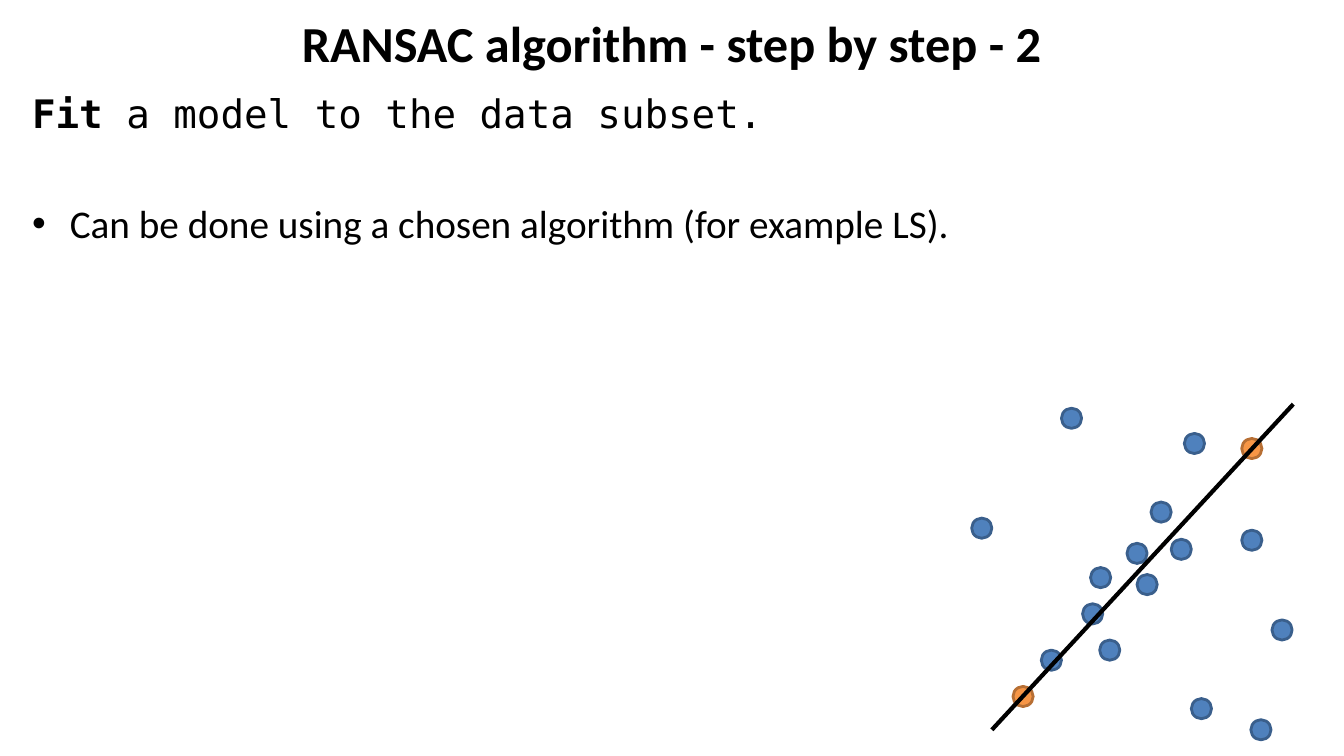
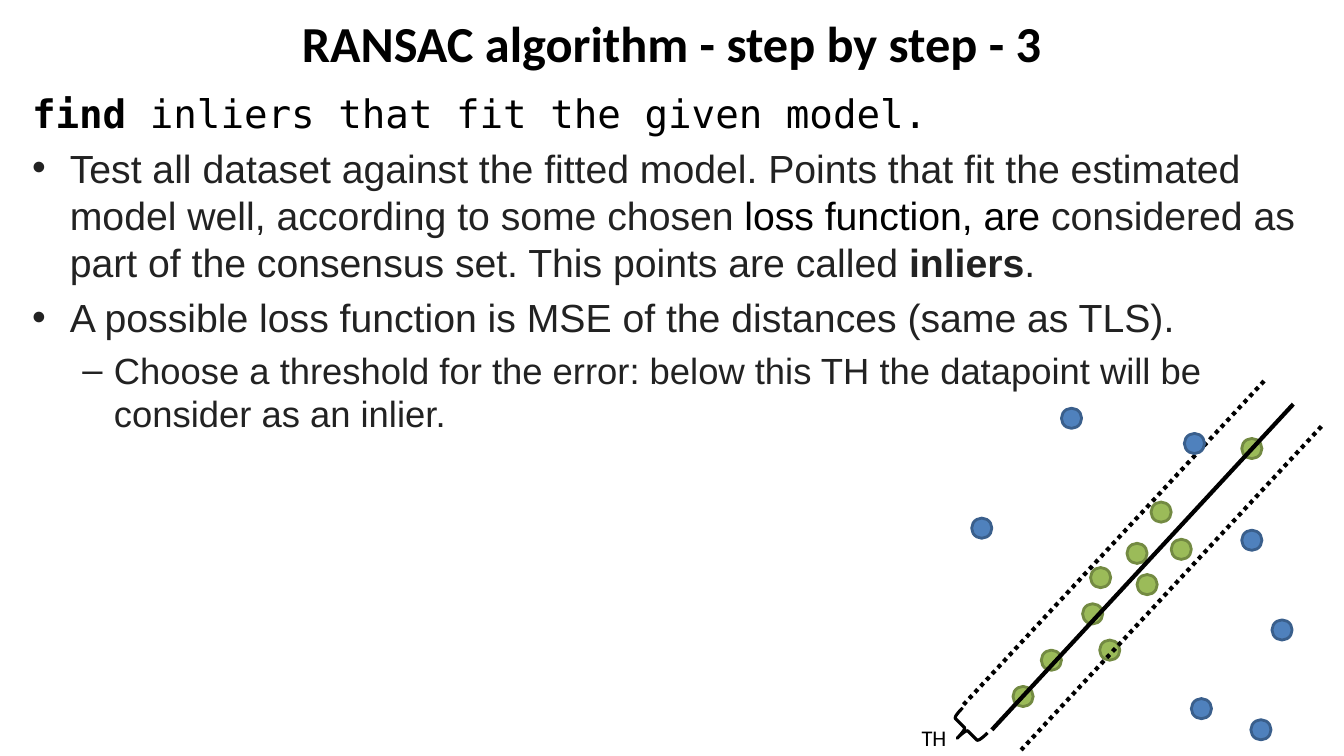
from dataclasses import dataclass
from typing import Any, NamedTuple

from lxml.etree import SubElement
from pptx import Presentation
from pptx.dml.color import RGBColor
from pptx.enum.dml import MSO_LINE
from pptx.enum.shapes import MSO_CONNECTOR, MSO_SHAPE
from pptx.enum.text import MSO_ANCHOR, PP_ALIGN
from pptx.oxml.ns import qn
from pptx.util import Pt


class Tone(NamedTuple):
    fill: str
    edge: str


@dataclass(frozen=True)
class Theme:
    black: str = "000000"
    grey: str = "222222"
    blue: Tone = Tone("4F81BD", "3A5F8C")
    orange: Tone = Tone("F79646", "B76F34")
    green: Tone = Tone("9BBB59", "738A42")
    sans: str = "Calibri"
    plain: str = "Arial"
    mono: str = "DejaVu Sans Mono"
    head: float = 36
    body: float = 28
    sub: float = 26
    label: float = 16
    dot: float = 14.4
    rule: float = 3


THEME = Theme()


class Run(NamedTuple):
    text: str
    face: str = THEME.plain
    bold: bool = False
    color: str = THEME.grey
    size: float = THEME.body


class Para(NamedTuple):
    runs: list[Run]
    mark: str = ""
    left: float = 0
    hang: float = 0
    gap: float = 5.6
    pitch: float = 1.0


class Spot(NamedTuple):
    x: float
    y: float


class Line(NamedTuple):
    start: Spot
    end: Spot
    dash: Any = None


class Page(NamedTuple):
    title: str
    paras: list[Para]
    ends: Tone
    near: Tone
    band: bool


ENDS = [Spot(723.6, 490.3), Spot(887, 313.2)]
NEAR = [
    Spot(743.8, 464.4), Spot(773.3, 431.3), Spot(812.2, 410.4),
    Spot(822.2, 358.6), Spot(836.6, 385.2), Spot(779, 405.4),
    Spot(785.5, 457.2), Spot(805, 388.1),
]
FAR = [
    Spot(887, 378.7), Spot(851, 499), Spot(758.2, 291.6), Spot(908.6, 442.8),
    Spot(694.1, 370.1), Spot(893.5, 514.1),
]
EDGE = Spot(846, 309.6)
MODEL = Line(Spot(923.8, 288.7), Spot(708.5, 521.3))
BAND = [
    Line(Spot(943.9, 304.6), Spot(729.4, 535.7), MSO_LINE.ROUND_DOT),
    Line(Spot(902.9, 272.2), Spot(688.3, 503.3), MSO_LINE.ROUND_DOT),
]

PAGES = [
    Page(
        "RANSAC algorithm - step by step - 2",
        [
            Para([
                Run("Fit ", THEME.mono, True, THEME.black),
                Run("a model to the data subset.", THEME.mono, False, THEME.black),
            ]),
            Para(
                [Run("Can be done using a chosen algorithm (for example LS).",
                     THEME.sans, False, THEME.black)],
                "•", 27, 27, 45,
            ),
        ],
        THEME.orange, THEME.blue, False,
    ),
    Page(
        "RANSAC algorithm - step by step - 3",
        [
            Para([
                Run("find ", THEME.mono, True, THEME.black),
                Run("inliers that fit the given model.", THEME.mono, False, THEME.black),
            ]),
            Para(
                [
                    Run("Test all dataset against the fitted model. Points that fit "
                        "the estimated model well, according to some chosen"),
                    Run(" loss function, are ", color=THEME.black),
                    Run("considered as part of the consensus set. "
                        "This points are called "),
                    Run("inliers", bold=True),
                    Run("."),
                ],
                "•", 27, 27,
            ),
            Para(
                [Run("A possible loss function is MSE of the distances (same as TLS).")],
                "•", 27, 27,
            ),
            Para(
                [Run("Choose a threshold for the error: below this TH the datapoint "
                     "will be consider as an inlier.", size=THEME.sub)],
                "–", 58.5, 22.5,
            ),
        ],
        THEME.green, THEME.green, True,
    ),
]


def apply(target: Any, form: dict[str, Any]) -> None:
    for name, value in form.items():
        setattr(target, name, value)


def place(shape: Any, x: float, y: float, w: float, h: float) -> None:
    apply(shape, {"left": Pt(x), "top": Pt(y), "width": Pt(w), "height": Pt(h)})


def write(para: Any, run: Run) -> None:
    part = para.add_run()
    part.text = run.text
    apply(part.font, {"name": run.face, "size": Pt(run.size), "bold": run.bold})
    part.font.color.rgb = RGBColor.from_string(run.color)


def ink(line: Any, color: str, width: float) -> None:
    line.color.rgb = RGBColor.from_string(color)
    line.width = Pt(width)


def add_mark(para: Any, item: Para) -> None:
    props = para._p.get_or_add_pPr()
    props.set("marL", str(Pt(item.left)))
    props.set("indent", str(Pt(-item.hang)))
    SubElement(props, qn("a:buFont")).set("typeface", THEME.plain)
    SubElement(props, qn("a:buChar")).set("char", item.mark)


def add_title(slide: Any, text: str) -> None:
    title = slide.shapes.title
    place(title, 15.84, 0, 928, 60)
    frame = title.text_frame
    apply(frame, {"vertical_anchor": MSO_ANCHOR.MIDDLE, "word_wrap": True})
    para = frame.paragraphs[0]
    para.alignment = PP_ALIGN.CENTER
    write(para, Run(text, THEME.sans, True, THEME.black, THEME.head))


def add_body(slide: Any, items: list[Para]) -> None:
    frame = slide.shapes.add_textbox(Pt(15.84), Pt(60), Pt(928), Pt(450)).text_frame
    frame.word_wrap = True
    for index, item in enumerate(items):
        para = frame.paragraphs[0] if index == 0 else frame.add_paragraph()
        if item.mark:
            add_mark(para, item)
        if index:
            para.space_before = Pt(item.gap)
        para.line_spacing = item.pitch
        for run in item.runs:
            write(para, run)


def add_dot(slide: Any, spot: Spot, tone: Tone) -> None:
    size = Pt(THEME.dot)
    dot = slide.shapes.add_shape(MSO_SHAPE.OVAL, Pt(spot.x), Pt(spot.y), size, size)
    dot.shadow.inherit = False
    dot.fill.solid()
    dot.fill.fore_color.rgb = RGBColor.from_string(tone.fill)
    ink(dot.line, tone.edge, 2)


def add_line(slide: Any, line: Line) -> None:
    rule = slide.shapes.add_connector(
        MSO_CONNECTOR.STRAIGHT,
        Pt(line.start.x), Pt(line.start.y), Pt(line.end.x), Pt(line.end.y),
    )
    ink(rule.line, THEME.black, THEME.rule)
    if line.dash:
        rule.line.dash_style = line.dash
    SubElement(rule._element.spPr, qn("a:effectLst"))


def add_band(slide: Any) -> None:
    for line in BAND:
        add_line(slide, line)
    brace = slide.shapes.add_shape(
        MSO_SHAPE.LEFT_BRACE, Pt(681.1), Pt(508.3), Pt(18), Pt(25.2))
    brace.rotation = 315.2
    brace.shadow.inherit = False
    brace.fill.background()
    ink(brace.line, THEME.black, 2.25)
    frame = slide.shapes.add_textbox(
        Pt(650.9), Pt(513.4), Pt(32.4), Pt(26.6)).text_frame
    frame.word_wrap = False
    para = frame.paragraphs[0]
    para.alignment = PP_ALIGN.CENTER
    write(para, Run("TH", THEME.sans, False, THEME.black, THEME.label))


def add_plot(slide: Any, page: Page) -> None:
    for spots, tone in ((ENDS, page.ends), (NEAR, page.near), (FAR, THEME.blue)):
        for spot in spots:
            add_dot(slide, spot, tone)
    if page.band:
        add_band(slide)
    add_dot(slide, EDGE, THEME.blue)
    add_line(slide, MODEL)


def main() -> None:
    deck = Presentation()
    apply(deck, {"slide_width": Pt(960), "slide_height": Pt(540)})
    for page in PAGES:
        slide = deck.slides.add_slide(deck.slide_layouts[5])
        add_title(slide, page.title)
        add_body(slide, page.paras)
        add_plot(slide, page)
    deck.save("out.pptx")


if __name__ == "__main__":
    main()
